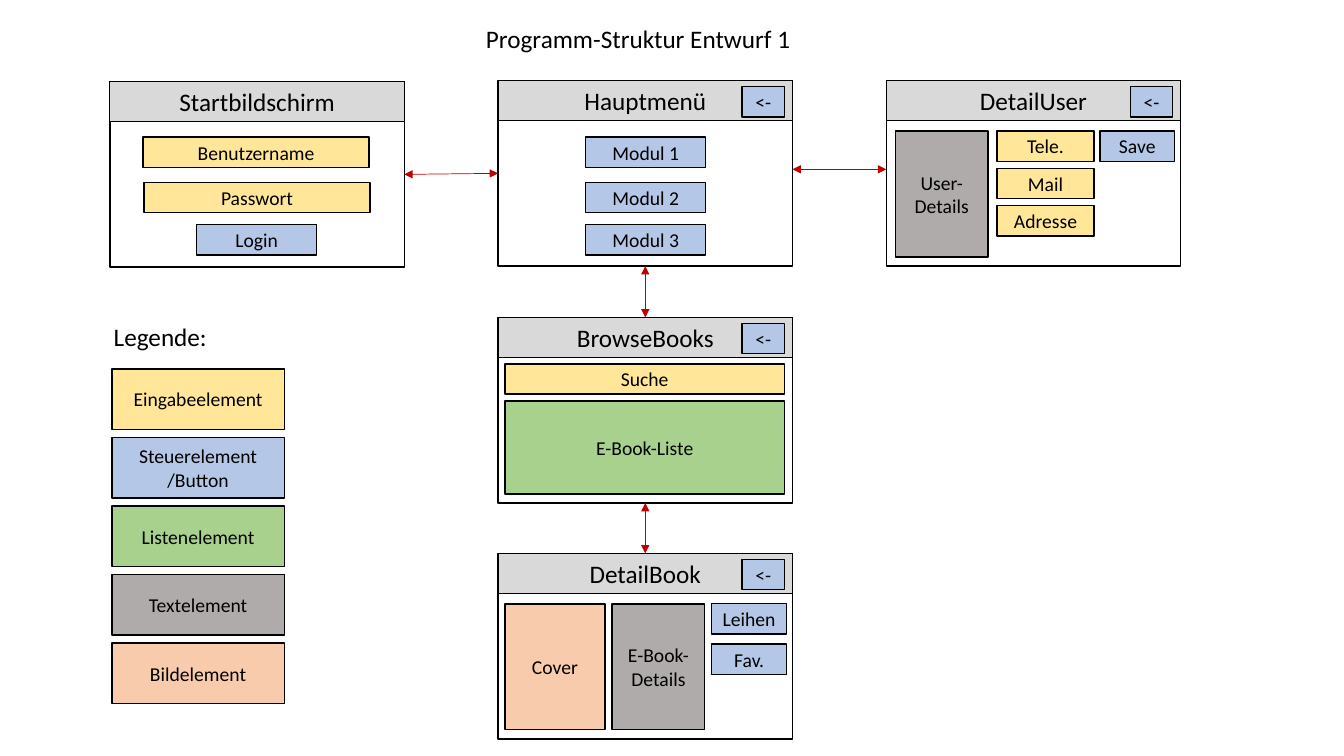
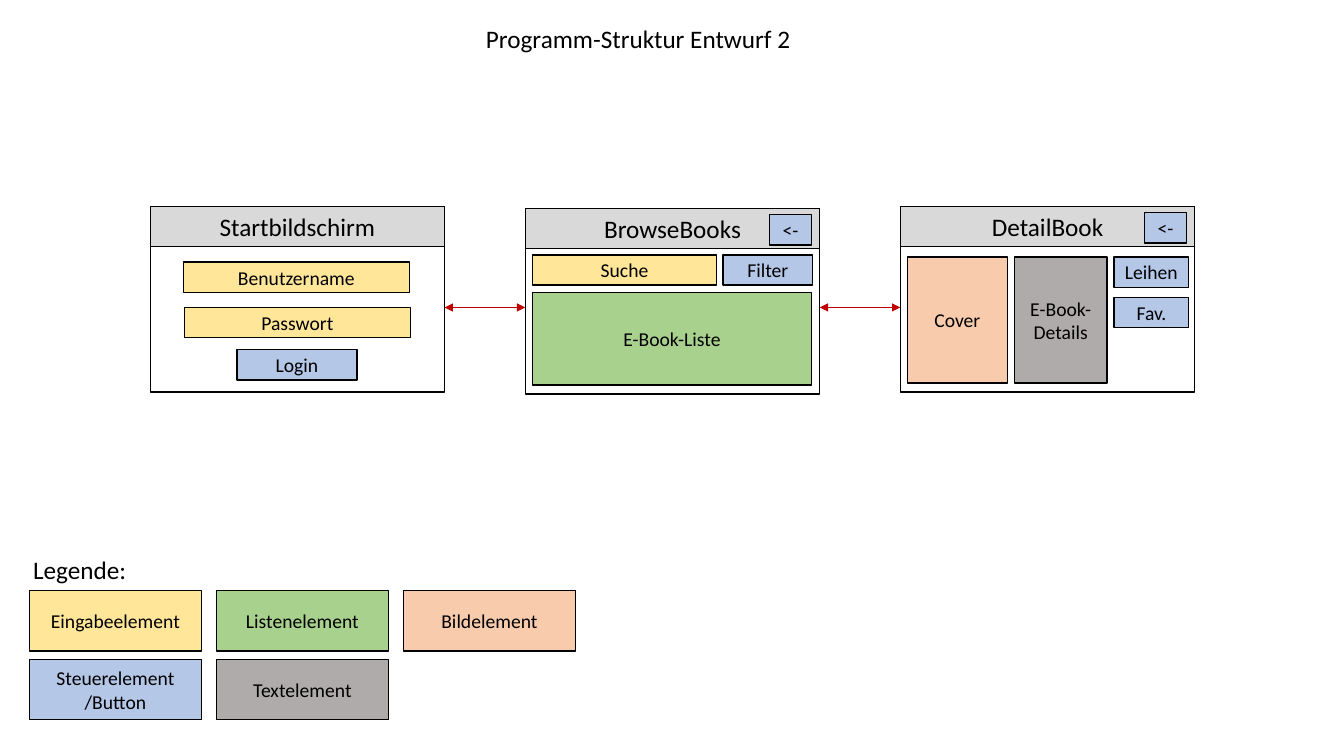
import pptx
import pptx.dml.color
import pptx.enum.shapes
import pptx.enum.text
import pptx.oxml
import pptx.oxml.ns
import pptx.util

Inches = pptx.util.Inches
Align = pptx.enum.text.PP_ALIGN
Anchor = pptx.enum.text.MSO_ANCHOR


class Theme:
    font = "Calibri"
    head_size, part_size = 18, 14
    ink, head, arrow = "000000", "D9D9D9", "C00000"
    entry, button, listing = "FFE699", "B4C7E7", "A9D18E"
    text, image = "AFABAB", "F8CBAD"


CARD_W, CARD_H, HEAD_H = 2.92, 1.84, 0.4
ROW_H, WIDE_H = 0.3, 1.25
TOP, LEFT, BOTTOM, RIGHT = 0, 1, 2, 3
LEGEND = [
    ("Eingabeelement", Theme.entry),
    ("Steuerelement /Button", Theme.button),
    ("Listenelement", Theme.listing),
    ("Textelement", Theme.text),
    ("Bildelement", Theme.image),
]


def color(code):
    return pptx.dml.color.RGBColor.from_string(code)


def write(shape, text, size, align=Align.CENTER, anchor=Anchor.MIDDLE):
    frame = shape.text_frame
    frame.text = text
    frame.word_wrap = True
    frame.vertical_anchor = anchor
    para = frame.paragraphs[0]
    para.alignment = align
    for run in para.runs:
        run.font.name = Theme.font
        run.font.size = pptx.util.Pt(size)
        run.font.color.rgb = color(Theme.ink)


def box(slide, x, y, w, h, fill=None, text="", size=Theme.part_size, edge=1):
    shape = slide.shapes.add_shape(
        pptx.enum.shapes.MSO_SHAPE.RECTANGLE,
        Inches(x), Inches(y), Inches(w), Inches(h))
    shape.shadow.inherit = False
    if fill:
        shape.fill.solid()
        shape.fill.fore_color.rgb = color(fill)
    else:
        shape.fill.background()
    shape.line.color.rgb = color(Theme.ink)
    shape.line.width = pptx.util.Pt(edge)
    if text:
        write(shape, text, size)
    return shape


def card(slide, x, y, title, parts, back=True):
    """Draw a screen; parts are (text, fill, x, y, w, h) within it."""
    frame = box(slide, x, y, CARD_W, CARD_H)
    box(slide, x, y, CARD_W, HEAD_H, Theme.head, title, Theme.head_size, 0.75)
    if back:
        parts = parts + [("<-", Theme.button, 2.42, 0.06, 0.42, ROW_H)]
    for text, fill, dx, dy, w, h in parts:
        box(slide, x + dx, y + dy, w, h, fill, text)
    return frame


# Screens
def start(slide, x, y):
    return card(slide, x, y, "Startbildschirm", [
        ("Benutzername", Theme.entry, 0.33, 0.55, 2.24, ROW_H),
        ("Passwort", Theme.entry, 0.34, 1, 2.24, ROW_H),
        ("Login", Theme.button, 0.86, 1.42, 1.19, ROW_H),
    ], back=False)


def menu(slide, x, y):
    return card(slide, x, y, "Hauptmenü", [
        (f"Modul {num}", Theme.button, 0.87, dy, 1.19, ROW_H)
        for num, dy in enumerate((0.56, 1.01, 1.43), 1)])


def user(slide, x, y):
    fields = [(text, Theme.entry, 1.1, 0.5 + 0.37 * row, 0.96, ROW_H)
              for row, text in enumerate(("Tele.", "Mail", "Adresse"))]
    return card(slide, x, y, "DetailUser", fields + [
        ("User-Details", Theme.text, 0.09, 0.5, 0.92, WIDE_H),
        ("Save", Theme.button, 2.12, 0.5, 0.74, ROW_H),
    ])


def browse(slide, x, y, filtered=False):
    parts = [
        ("Suche", Theme.entry, 0.07, 0.46, 1.83 if filtered else 2.77, ROW_H),
        ("E-Book-Liste", Theme.listing, 0.07, 0.83, 2.77, 0.92),
    ]
    if filtered:
        parts.append(("Filter", Theme.button, 1.96, 0.46, 0.89, ROW_H))
    return card(slide, x, y, "BrowseBooks", parts)


def book(slide, x, y):
    return card(slide, x, y, "DetailBook", [
        ("Cover", Theme.image, 0.07, 0.5, 0.99, WIDE_H),
        ("E-Book-Details", Theme.text, 1.13, 0.5, 0.92, WIDE_H),
        ("Leihen", Theme.button, 2.12, 0.5, 0.74, ROW_H),
        ("Fav.", Theme.button, 2.12, 0.9, 0.74, ROW_H),
    ])


# Arrows
def arrow(slide, x1=0, y1=0, x2=0, y2=0):
    link = slide.shapes.add_connector(
        pptx.enum.shapes.MSO_CONNECTOR.STRAIGHT,
        Inches(x1), Inches(y1), Inches(x2), Inches(y2))
    link.line.color.rgb = color(Theme.arrow)
    link.line.width = pptx.util.Pt(0.5)
    props = link._element.spPr
    line = props.find(pptx.oxml.ns.qn("a:ln"))
    space = pptx.oxml.ns.nsdecls("a")
    for end in ("headEnd", "tailEnd"):
        line.append(pptx.oxml.parse_xml(f'<a:{end} {space} type="triangle"/>'))
    props.append(pptx.oxml.parse_xml(f"<a:effectLst {space}/>"))
    return link


def join(slide, first, side, second, other):
    link = arrow(slide)
    link.begin_connect(first, side)
    link.end_connect(second, other)


# Legend and title
def legend(slide, x, y, rows, label_x, label_y):
    label = slide.shapes.add_textbox(
        Inches(label_x), Inches(label_y), Inches(2.1), Inches(HEAD_H))
    write(label, "Legende:", Theme.head_size, Align.LEFT, Anchor.TOP)
    for num, (text, fill) in enumerate(LEGEND):
        col, row = divmod(num, rows)
        box(slide, x + 1.855 * col, y + 0.68 * row, 1.71, 0.6, fill, text)


def page(deck, title):
    slide = deck.slides.add_slide(deck.slide_layouts[5])
    head = slide.shapes.title
    head.left, head.top = Inches(4.72), Inches(0.18)
    head.width, head.height = Inches(3.35), Inches(HEAD_H)
    write(head, title, Theme.head_size, Align.LEFT, Anchor.TOP)
    return slide


# Slides
def draft_one(deck):
    slide = page(deck, "Programm-Struktur Entwurf 1")
    login = start(slide, 1.09, 0.81)
    main_menu = menu(slide, 4.94, 0.8)
    user(slide, 8.79, 0.8)
    books = browse(slide, 4.94, 3.15)
    detail = book(slide, 4.94, 5.49)
    join(slide, login, RIGHT, main_menu, LEFT)
    arrow(slide, 7.86, 1.68, 8.79, 1.68)
    join(slide, main_menu, BOTTOM, books, TOP)
    join(slide, books, BOTTOM, detail, TOP)
    legend(slide, 1.11, 3.66, 5, 1.03, 3.14)


def draft_two(deck):
    slide = page(deck, "Programm-Struktur Entwurf 2")
    start(slide, 1.49, 2.05)
    browse(slide, 5.21, 2.07, filtered=True)
    book(slide, 8.93, 2.05)
    for x in (4.41, 8.13):
        arrow(slide, x, 3.05, x + 0.8, 3.05)
    legend(slide, 0.29, 5.86, 2, 0.23, 5.45)


def main():
    deck = pptx.Presentation()
    deck.slide_width, deck.slide_height = Inches(13.33), Inches(7.5)
    draft_one(deck)
    draft_two(deck)
    deck.save("out.pptx")


if __name__ == "__main__":
    main()
